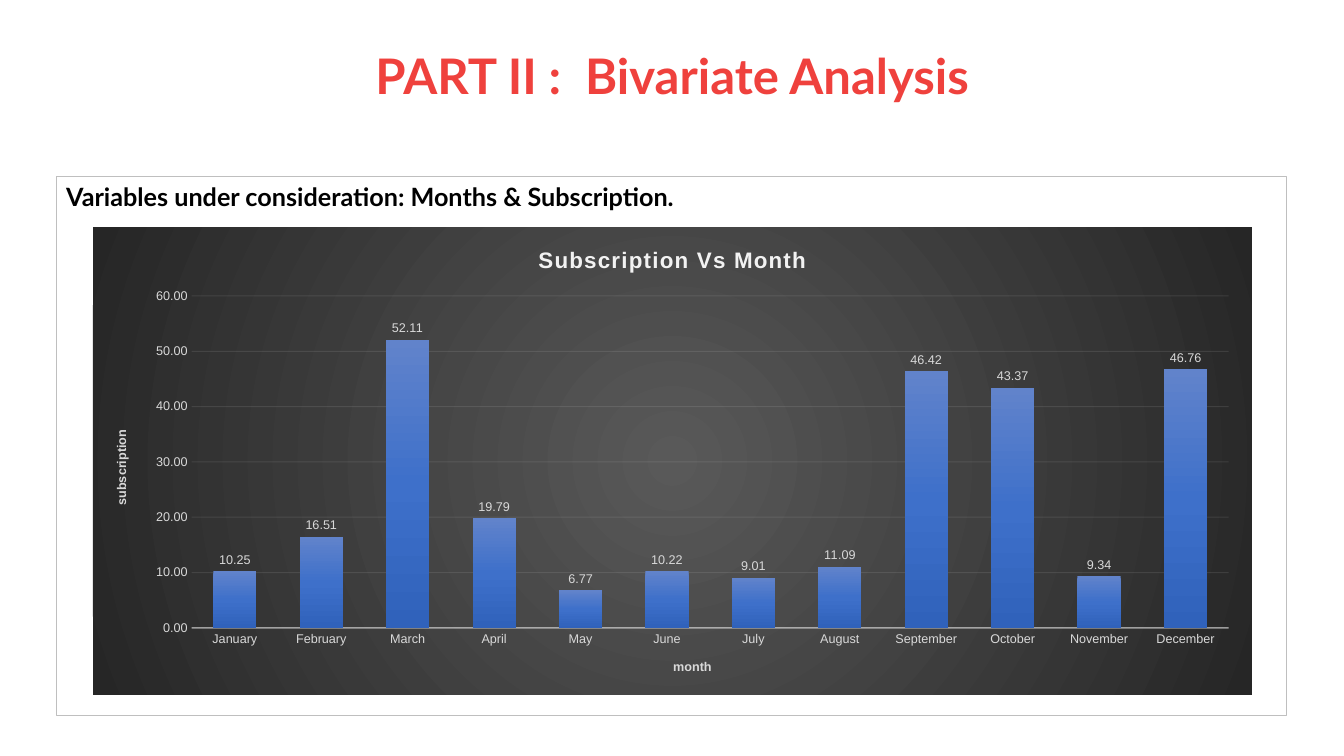
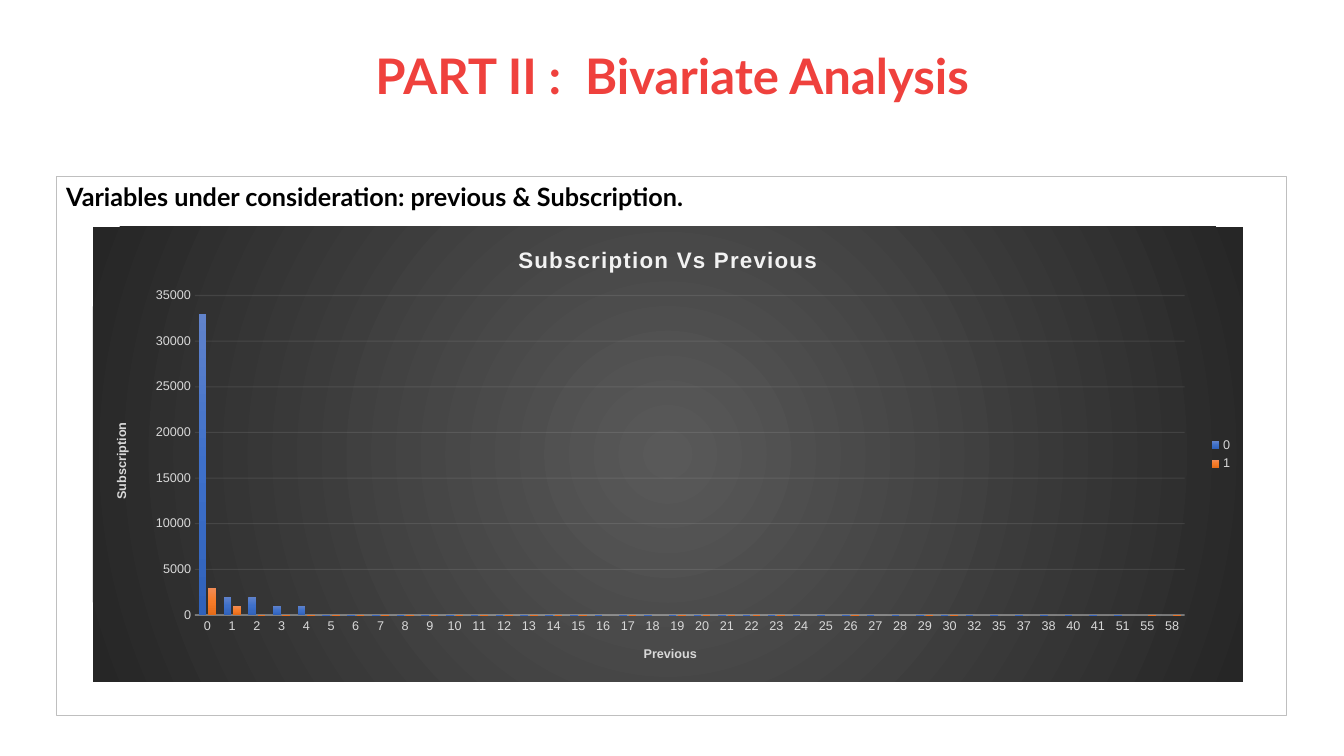
import pptx
import pptx.chart.data
import pptx.dml.color
import pptx.enum.chart
import pptx.enum.shapes
import pptx.enum.text
import pptx.oxml
import pptx.oxml.ns
import pptx.util
from pptx.util import Cm
from lxml import etree

# Content
HEADING = "PART II :  Bivariate Analysis"
MONTHS = ["January", "February", "March", "April", "May", "June", "July", "August",
          "September", "October", "November", "December"]
PREVIOUS = [str(n) for n in (*range(31), 32, 35, 37, 38, 40, 41, 51, 55, 58)]
NO = None
SLIDES = [
    {
        "subject": "Variables under consideration: Months & Subscription.",
        "title": "Subscription Vs Month",
        "axes": ("month", "subscription"),
        "categories": MONTHS,
        "series": {"Series 1": [10.25, 16.51, 52.11, 19.79, 6.77, 10.22, 9.01, 11.09,
                                46.42, 43.37, 9.34, 46.76]},
        "number_format": "0.00",
        "labels": True,
        "size": (29.21, 11.79),
    },
    {
        "subject": "Variables under consideration: previous & Subscription.",
        "title": "Subscription Vs Previous",
        "axes": ("Previous", "Subscription"),
        "categories": PREVIOUS,
        "series": {
            "0": [33000, 2000, 2000, 1000, 1000] + [0] * 33 + [NO] * 2,
            "1": [3000, 1000] + [0] * 14 + [NO, 0, NO] + [0] * 5
                 + [NO, NO, 0, NO, NO, 0, 0] + [NO] * 7 + [0, 0],
        },
        "number_format": "General",
        "labels": False,
        "size": (28.98, 11.46),
    },
]


class Theme:
    # Colours
    heading, ink, paper, border = "EF413D", "000000", "FFFFFF", "BFBFBF"
    chart_title, chart_text, chart_line = "F2F2F2", "D9D9D9", "F2F2F2"
    backdrop = [(0, "595959"), (100, "262626")]
    bars = [[(0, "6183CB"), (50, "3E70CA"), (100, "3062BB")],
            [(0, "F18C57"), (50, "F67B28"), (100, "E56C19")]]
    # Fonts and sizes in points
    text_font, chart_font = "Lato", "Arial"
    heading_size, subject_size, chart_title_size, chart_size = 35, 18, 16, 9


qn = pptx.oxml.ns.qn


def rgb(value):
    return pptx.dml.color.RGBColor.from_string(value)


def set_font(font, size, color, name, bold=False):
    font.size, font.bold, font.name = pptx.util.Pt(size), bold, name
    font.color.rgb = rgb(color)


def write_text(frame, text, size, color, name=Theme.chart_font, bold=True,
               align=None, line_spacing=None, tracking=None):
    paragraph = frame.paragraphs[0]
    if align is not None:
        paragraph.alignment = align
    if line_spacing:
        paragraph.line_spacing = line_spacing
    run = paragraph.add_run()
    run.text = text
    set_font(run.font, size, color, name, bold)
    if tracking:
        run.font._element.set("spc", str(tracking))


def add_gradient(properties, stops, radial=False):
    """Put a gradient fill first among the shape properties."""
    gradient = etree.Element(qn("a:gradFill"))
    stop_list = etree.SubElement(gradient, qn("a:gsLst"))
    for position, color in stops:
        stop = etree.SubElement(stop_list, qn("a:gs"), pos=str(position * 1000))
        etree.SubElement(stop, qn("a:srgbClr"), val=color)
    if radial:
        circle = etree.SubElement(gradient, qn("a:path"), path="circle")
        sides = {side: "50000" for side in "ltrb"}
        etree.SubElement(circle, qn("a:fillToRect"), **sides)
    else:
        etree.SubElement(gradient, qn("a:lin"), ang="5400000", scaled="0")
    properties.insert(0, gradient)


def set_line(line, color, width, opacity=100):
    line.color.rgb = rgb(color)
    line.width = pptx.util.Pt(width)
    if opacity < 100:
        color_element = line._ln.find(".//" + qn("a:srgbClr"))
        etree.SubElement(color_element, qn("a:alpha"), val=str(opacity * 1000))


def set_margins(frame, bottom=0.13):
    frame.word_wrap = True
    frame.margin_left = frame.margin_right = Cm(0.25)
    frame.margin_top, frame.margin_bottom = Cm(0.13), Cm(bottom)


def add_heading(slide):
    box = slide.shapes.add_textbox(Cm(2.34), Cm(1.02), Cm(29.21), Cm(3.68))
    set_margins(box.text_frame, bottom=1.9)
    box.text_frame.vertical_anchor = pptx.enum.text.MSO_ANCHOR.MIDDLE
    write_text(box.text_frame, HEADING, Theme.heading_size, Theme.heading, Theme.text_font,
               align=pptx.enum.text.PP_ALIGN.CENTER, line_spacing=0.9)


def add_panel(slide, subject):
    panel = slide.shapes.add_shape(pptx.enum.shapes.MSO_SHAPE.RECTANGLE,
                                   Cm(1.42), Cm(4.45), Cm(31.01), Cm(13.59))
    panel.shadow.inherit = False
    panel.fill.background()
    set_line(panel.line, Theme.border, 0.75)
    set_margins(panel.text_frame)
    panel.text_frame.vertical_anchor = pptx.enum.text.MSO_ANCHOR.TOP
    write_text(panel.text_frame, subject, Theme.subject_size, Theme.ink, Theme.text_font,
               align=pptx.enum.text.PP_ALIGN.LEFT)


def style_axis(axis, title):
    axis.major_tick_mark = axis.minor_tick_mark = pptx.enum.chart.XL_TICK_MARK.NONE
    set_font(axis.tick_labels.font, Theme.chart_size, Theme.chart_text, Theme.chart_font)
    write_text(axis.axis_title.text_frame, title, Theme.chart_size, Theme.chart_text)


def add_column_chart(slide, content):
    data = pptx.chart.data.CategoryChartData(number_format=content["number_format"])
    data.categories = content["categories"]
    for name, values in content["series"].items():
        data.add_series(name, values)
    width, height = content["size"]
    chart = slide.shapes.add_chart(pptx.enum.chart.XL_CHART_TYPE.COLUMN_CLUSTERED,
                                   Cm(2.34), Cm(5.72), Cm(width), Cm(height), data).chart
    set_font(chart.font, Theme.chart_size, Theme.chart_text, Theme.chart_font)

    # Backdrop and title
    backdrop = etree.Element(qn("c:spPr"))
    add_gradient(backdrop, Theme.backdrop, radial=True)
    outline = etree.SubElement(backdrop, qn("a:ln"))
    etree.SubElement(outline, qn("a:noFill"))
    chart.element.find(qn("c:chart")).addnext(backdrop)
    write_text(chart.chart_title.text_frame, content["title"], Theme.chart_title_size,
               Theme.chart_title, tracking=100)
    chart.chart_title.include_in_layout = False

    # Axes
    for axis, title in zip((chart.category_axis, chart.value_axis), content["axes"]):
        style_axis(axis, title)
    set_line(chart.category_axis.format.line, Theme.chart_line, 1, opacity=54)
    value_axis = chart.value_axis
    value_axis.format.line.fill.background()
    set_line(value_axis.major_gridlines.format.line, Theme.chart_line, 0.75, opacity=10)
    value_axis.tick_labels.number_format = content["number_format"]
    value_axis.tick_labels.number_format_is_linked = False
    value_axis.axis_title.text_frame._txBody.bodyPr.set("rot", "-5400000")

    # Columns
    plot = chart.plots[0]
    plot.gap_width, plot.overlap, plot.vary_by_categories = 100, -24, False
    for series, stops in zip(plot.series, Theme.bars):
        series.invert_if_negative = False
        add_gradient(series._element.get_or_add_spPr(), stops)
    if content["labels"]:
        labels = plot.series[0].data_labels
        labels.show_value = True
        labels.position = pptx.enum.chart.XL_LABEL_POSITION.OUTSIDE_END
        labels.number_format = content["number_format"]
        labels.number_format_is_linked = False
        set_font(labels.font, Theme.chart_size, Theme.chart_text, Theme.chart_font)

    # Legend, only where series need telling apart
    chart.has_legend = len(content["series"]) > 1
    if chart.has_legend:
        chart.legend.position = pptx.enum.chart.XL_LEGEND_POSITION.RIGHT
        chart.legend.include_in_layout = False
        set_font(chart.legend.font, Theme.chart_size, Theme.chart_text, Theme.chart_font)


def main():
    presentation = pptx.Presentation()
    presentation.slide_width, presentation.slide_height = Cm(33.87), Cm(19.05)
    for content in SLIDES:
        slide = presentation.slides.add_slide(presentation.slide_layouts[6])
        slide.background.fill.solid()
        slide.background.fill.fore_color.rgb = rgb(Theme.paper)
        add_heading(slide)
        add_panel(slide, content["subject"])
        add_column_chart(slide, content)
    presentation.save("out.pptx")


if __name__ == "__main__":
    main()
